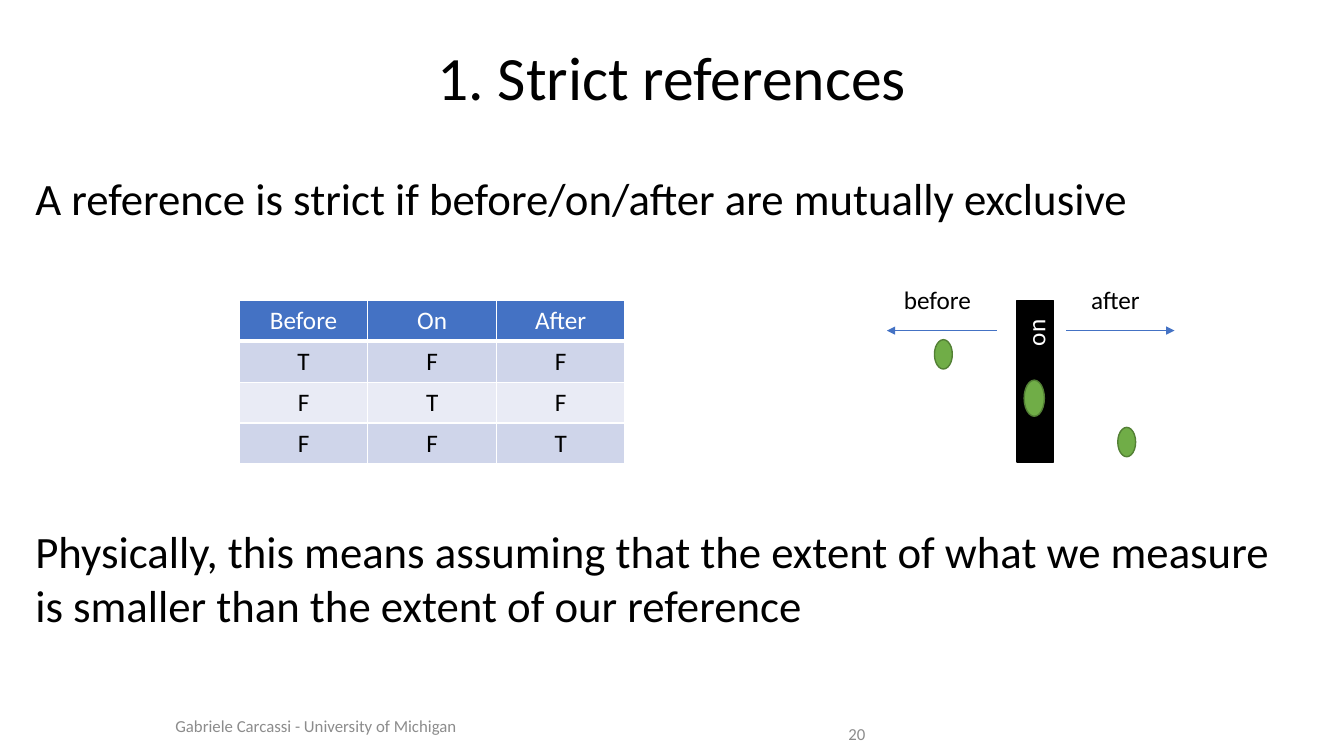
"""Build the slide on strict references."""
from dataclasses import dataclass

import pptx
import pptx.dml.color
import pptx.enum.shapes
import pptx.enum.text
import pptx.oxml.ns
import pptx.oxml.xmlchemy
import pptx.util
from lxml import etree
from pptx.util import Cm

FONT = "Calibri"
BLACK, WHITE, GREY = "000000", "FFFFFF", "8C8C8C"
BLUE, GREEN, DARK_GREEN = "4472C4", "70AD47", "538035"
BANDS = ("CFD5EA", "E9EBF5")
CENTER = pptx.enum.text.PP_ALIGN.CENTER
MIDDLE = pptx.enum.text.MSO_ANCHOR.MIDDLE
TOP = pptx.enum.text.MSO_ANCHOR.TOP
SHAPES = pptx.enum.shapes.MSO_SHAPE


@dataclass
class Label:
    text: str
    left: float
    top: float
    width: float
    height: float
    size: float
    color: str = BLACK
    anchor: pptx.enum.text.MSO_ANCHOR = TOP
    align: pptx.enum.text.PP_ALIGN | None = None
    spacing: float | None = None
    wrap: bool = True


@dataclass
class Figure:
    kind: pptx.enum.shapes.MSO_SHAPE
    left: float
    top: float
    width: float
    height: float
    fill: str
    line: str


@dataclass
class Arrow:
    start: float
    end: float
    y: float


LABELS = [
    Label("1. Strict references", 0, 1.02, 33.87, 2, 44,
          anchor=MIDDLE, align=CENTER, spacing=0.9),
    Label("Gabriele Carcassi - University of Michigan", 4.17, 17.78, 16.59, 1.02, 12,
          GREY, MIDDLE),
    Label("20", 21.13, 18.16, 7.62, 0.66, 12, GREY, MIDDLE),
    Label("before", 22.53, 7.04, 2.21, 1.02, 18, wrap=False),
    Label("after", 27.25, 7.04, 1.75, 1.02, 18, wrap=False),
    Label("A reference is strict if before/on/after are mutually exclusive",
          0.64, 4.17, 32.44, 1.63, 32),
    Label("Physically, this means assuming that the extent of what we measure "
          "is smaller than the extent of our reference", 0.64, 13.08, 32.44, 3, 32),
]
REFERENCE = Figure(SHAPES.RECTANGLE, 25.63, 7.57, 0.92, 4.07, BLACK, BLACK)
OBJECTS = [
    Figure(SHAPES.OVAL, 23.55, 8.56, 0.45, 0.74, GREEN, DARK_GREEN),
    Figure(SHAPES.OVAL, 25.81, 9.58, 0.51, 0.91, GREEN, DARK_GREEN),
    Figure(SHAPES.OVAL, 28.17, 10.77, 0.45, 0.74, GREEN, DARK_GREEN),
]
ARROWS = [Arrow(25.12, 22.35, 8.33), Arrow(26.87, 29.6, 8.33)]
HEADER = ("Before", "On", "After")
TRUTH = [["T" if row == col else "F" for col in range(3)] for row in range(3)]


def rgb(color: str) -> pptx.dml.color.RGBColor:
    return pptx.dml.color.RGBColor.from_string(color)


def add_run(p, text: str, size: float, color: str) -> None:
    r = p.add_run()
    r.text = text
    r.font.name = FONT
    r.font.size = pptx.util.Pt(size)
    r.font.color.rgb = rgb(color)


def add_label(s, label: Label) -> None:
    sp = s.shapes.add_textbox(Cm(label.left), Cm(label.top), Cm(label.width), Cm(label.height))
    tf = sp.text_frame
    tf.word_wrap = label.wrap
    tf.vertical_anchor = label.anchor
    p = tf.paragraphs[0]
    p.alignment = label.align
    p.line_spacing = label.spacing
    add_run(p, label.text, label.size, label.color)


def add_figure(s, figure: Figure):
    sp = s.shapes.add_shape(figure.kind, Cm(figure.left), Cm(figure.top),
                            Cm(figure.width), Cm(figure.height))
    sp.shadow.inherit = False
    sp.fill.solid()
    sp.fill.fore_color.rgb = rgb(figure.fill)
    sp.line.color.rgb = rgb(figure.line)
    sp.line.width = pptx.util.Pt(1)
    return sp


def add_reference(s, figure: Figure) -> None:
    tf = add_figure(s, figure).text_frame
    tf.vertical_anchor = MIDDLE
    tf._txBody.bodyPr.set("vert", "vert270")
    p = tf.paragraphs[0]
    p.alignment = CENTER
    pPr = p._p.get_or_add_pPr()
    pPr.set("marL", str(Cm(2.44)))
    pPr.set("indent", "0")
    add_run(p, "on", 18, WHITE)


def add_arrow(s, arrow: Arrow) -> None:
    line = s.shapes.add_connector(pptx.enum.shapes.MSO_CONNECTOR.STRAIGHT,
                                  Cm(arrow.start), Cm(arrow.y), Cm(arrow.end), Cm(arrow.y))
    line.line.color.rgb = rgb(BLUE)
    line.line.width = pptx.util.Pt(0.5)
    ln = line.line._get_or_add_ln()
    etree.SubElement(ln, pptx.oxml.ns.qn("a:tailEnd"), type="triangle")
    etree.SubElement(line._element.spPr, pptx.oxml.ns.qn("a:effectLst"))


def add_border(cell, side: str, width: float) -> None:
    qn = pptx.oxml.ns.qn
    tcPr = cell._tc.get_or_add_tcPr()
    ln = etree.SubElement(tcPr, qn(f"a:ln{side}"), w=str(pptx.util.Pt(width)))
    fill = etree.SubElement(ln, qn("a:solidFill"))
    etree.SubElement(fill, qn("a:srgbClr"), val=WHITE)


def add_truth_table(s) -> None:
    rows = [HEADER, *TRUTH]
    table = s.shapes.add_table(len(rows), len(HEADER), Cm(6.03), Cm(7.57),
                               Cm(9.72), Cm(4.08)).table
    for column in table.columns:
        column.width = Cm(3.24)
    for i, row in enumerate(rows):
        table.rows[i].height = Cm(1.02)
        for j, text in enumerate(row):
            cell = table.cell(i, j)
            for side in "LRTB":
                add_border(cell, side, 3 if i == 0 and side == "B" else 1)
            cell.fill.solid()
            cell.fill.fore_color.rgb = rgb(BANDS[(i - 1) % 2] if i else BLUE)
            p = cell.text_frame.paragraphs[0]
            p.alignment = CENTER
            add_run(p, text, 18, BLACK if i else WHITE)


def main() -> None:
    prs = pptx.Presentation()
    prs.slide_width, prs.slide_height = Cm(33.87), Cm(19.05)
    s = prs.slides.add_slide(prs.slide_layouts[6])
    add_reference(s, REFERENCE)
    for arrow in ARROWS:
        add_arrow(s, arrow)
    add_truth_table(s)
    for figure in OBJECTS:
        add_figure(s, figure)
    for label in LABELS:
        add_label(s, label)
    prs.save("out.pptx")


if __name__ == "__main__":
    main()
